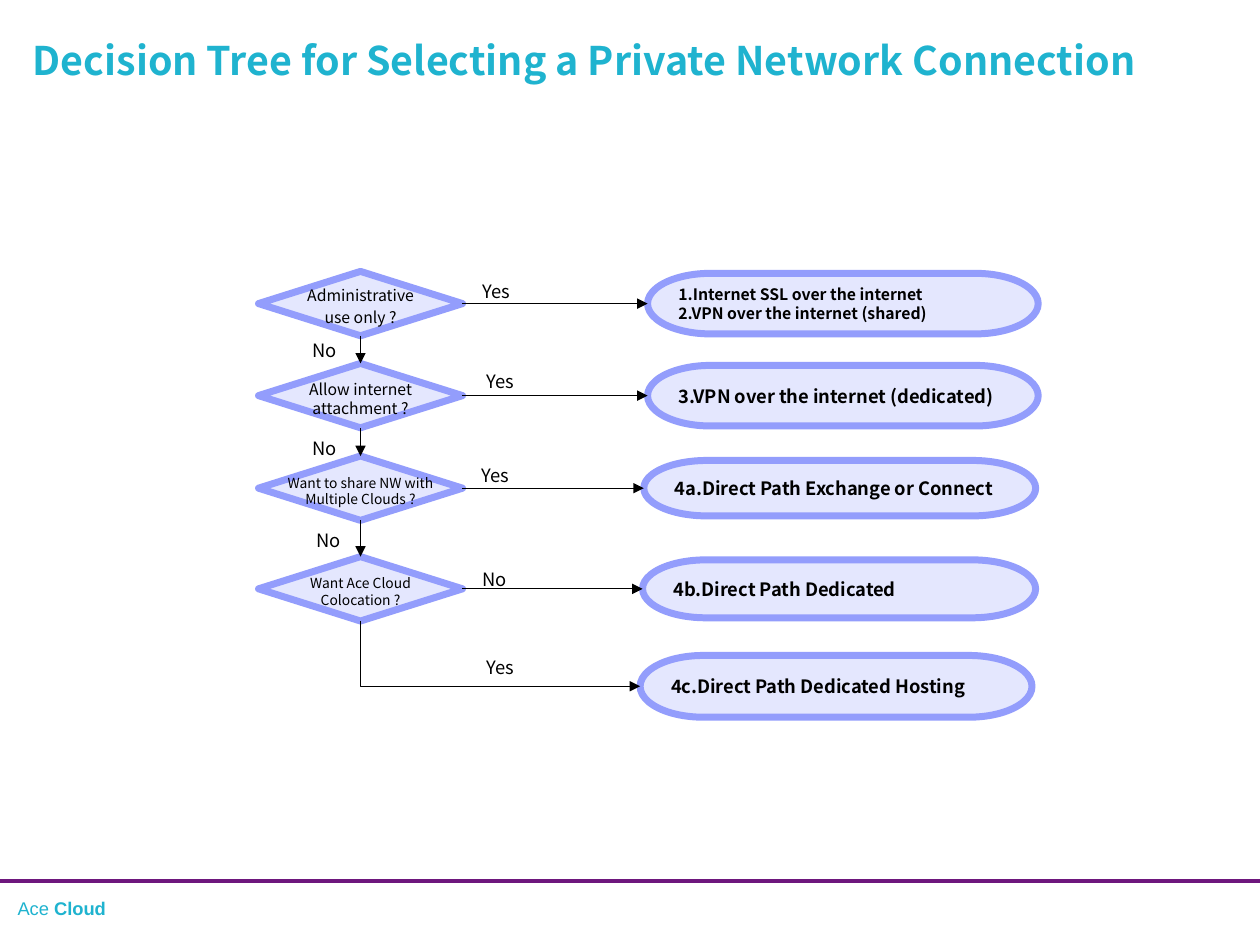
from dataclasses import dataclass

from lxml import etree
from pptx import Presentation
from pptx.dml.color import RGBColor
from pptx.enum.shapes import MSO_CONNECTOR, MSO_SHAPE
from pptx.enum.text import MSO_ANCHOR, PP_ALIGN
from pptx.oxml.ns import qn
from pptx.util import Pt

DIAMOND = MSO_SHAPE.DIAMOND
TERMINATOR = MSO_SHAPE.FLOWCHART_TERMINATOR
STRAIGHT, ELBOW = MSO_CONNECTOR.STRAIGHT, MSO_CONNECTOR.ELBOW
TOP, MIDDLE = MSO_ANCHOR.TOP, MSO_ANCHOR.MIDDLE
LEFT, CENTER = PP_ALIGN.LEFT, PP_ALIGN.CENTER
TOP_SIDE, LEFT_SIDE, BOTTOM_SIDE, RIGHT_SIDE = range(4)


@dataclass(frozen=True)
class Theme:
    font: str = "Noto Sans CJK JP"
    footer_font: str = "Arial"
    accent: RGBColor = RGBColor(0x1F, 0xB3, 0xCF)
    rule: RGBColor = RGBColor(0x6E, 0x17, 0x7D)
    fill: RGBColor = RGBColor(0xE4, 0xE7, 0xFE)
    border: RGBColor = RGBColor(0x93, 0x9D, 0xFC)
    ink: RGBColor = RGBColor(0, 0, 0)
    title_size: float = 22.5
    body_size: float = 10.5
    small_size: float = 9
    tiny_size: float = 7.9


THEME = Theme()
DIAMOND_CENTER, DIAMOND_WIDTH, DIAMOND_HEIGHT = 206, 116.6, 36.8

# center y, question lines, text width, text size
DECISIONS = [
    (173.5, ["Administrative", "use only ?"], 84, THEME.small_size),
    (226.1, ["Allow internet attachment ?"], 104, THEME.small_size),
    (279, ["Want to share NW with Multiple Clouds ?"], 88, THEME.tiny_size),
    (336.5, ["Want Ace Cloud Colocation ?"], 63, THEME.tiny_size),
]

# center y, left, width, height, lines, text size
OUTCOMES = [
    (173.5, 370.1, 223.2, 34.6,
     ["1.Internet SSL over the internet", "2.VPN over the internet (shared)"],
     THEME.small_size),
    (226.1, 370.1, 223.2, 34.6, ["3.VPN over the internet (dedicated)"], THEME.body_size),
    (279, 367.9, 223.9, 31.7, ["4a.Direct Path Exchange or Connect"], THEME.body_size),
    (336.5, 367.2, 224.6, 33.1, ["4b.Direct Path Dedicated"], THEME.body_size),
    (392.2, 365.8, 223.9, 35.3, ["4c.Direct Path Dedicated Hosting"], THEME.body_size),
]

# text, left, top
BRANCH_LABELS = [
    ("Yes", 270.7, 158.4), ("Yes", 272.9, 210.2), ("Yes", 270, 263.5),
    ("No", 270.7, 323.3), ("Yes", 272.9, 373.7),
    ("No", 173.5, 192.2), ("No", 173.5, 248.4), ("No", 175.7, 301),
]


def format_frame(frame, margins, anchor=TOP, wrap=True):
    """Set wrapping, anchor and the (horizontal, vertical) margins."""
    frame.word_wrap = wrap
    frame.vertical_anchor = anchor
    frame.margin_left = frame.margin_right = Pt(margins[0])
    frame.margin_top = frame.margin_bottom = Pt(margins[1])


def style_font(font, size, color=THEME.ink, bold=False, name=THEME.font):
    font.name, font.size, font.bold = name, Pt(size), bold
    font.color.rgb = color


def write_lines(frame, lines, size, align=LEFT, bold=False, space_after=0):
    for index, line in enumerate(lines):
        para = frame.paragraphs[0] if index == 0 else frame.add_paragraph()
        para.text = line
        para.alignment = align
        para.space_after = Pt(space_after)
        style_font(para.font, size, bold=bold)


def add_text_box(page, left, top, width, height, margins, anchor=TOP):
    box = page.shapes.add_textbox(Pt(left), Pt(top), Pt(width), Pt(height))
    format_frame(box.text_frame, margins, anchor)
    return box.text_frame


def add_node(page, kind, left, center_y, width, height):
    node = page.shapes.add_shape(
        kind, Pt(left), Pt(center_y - height / 2), Pt(width), Pt(height))
    node.shadow.inherit = False
    node.fill.solid()
    node.fill.fore_color.rgb = THEME.fill
    node.line.color.rgb = THEME.border
    node.line.width = Pt(4)
    return node


def add_decision(page, center_y, lines, text_width, size):
    diamond = add_node(page, DIAMOND, DIAMOND_CENTER - DIAMOND_WIDTH / 2, center_y,
                       DIAMOND_WIDTH, DIAMOND_HEIGHT)
    text_height = 24
    frame = add_text_box(page, DIAMOND_CENTER - text_width / 2,
                         center_y + 1.5 - text_height / 2,
                         text_width, text_height, (0, 0), MIDDLE)
    write_lines(frame, lines, size, CENTER, space_after=1.3)
    return diamond


def add_outcome(page, center_y, left, width, height, lines, size):
    outcome = add_node(page, TERMINATOR, left, center_y, width, height)
    format_frame(outcome.text_frame, (7.2, 3.6), MIDDLE, wrap=False)
    write_lines(outcome.text_frame, lines, size, bold=True)
    return outcome


def add_line(page, kind, color, width, ends=(0, 0, 0, 0)):
    line = page.shapes.add_connector(kind, *map(Pt, ends))
    line.line.color.rgb = color
    line.line.width = Pt(width)
    etree.SubElement(line._element.spPr, qn("a:effectLst"))
    return line


def add_arrow(page, start, start_side, end, end_side):
    arrow = add_line(page, STRAIGHT, THEME.ink, 0.75)
    arrow.begin_connect(start, start_side)
    arrow.end_connect(end, end_side)
    etree.SubElement(arrow.line._get_or_add_ln(), qn("a:tailEnd"), type="triangle")


def add_corner_arrow(page, source, target):
    """Run down from the source and right to the target, drawn from its head."""
    ends = (target.left.pt, (target.top + target.height / 2) / Pt(1),
            (source.left + source.width / 2) / Pt(1), (source.top + source.height) / Pt(1))
    arrow = add_line(page, ELBOW, THEME.ink, 0.75, ends)
    arrow._element.spPr.find(qn("a:prstGeom")).set("prst", "bentConnector2")
    etree.SubElement(arrow.line._get_or_add_ln(), qn("a:headEnd"), type="triangle")


def add_title(page, text):
    title = page.shapes.title
    title.left, title.top, title.width, title.height = Pt(15.1), Pt(20.2), Pt(697.7), Pt(38.9)
    format_frame(title.text_frame, (3.6, 3.6))
    para = title.text_frame.paragraphs[0]
    para.text = text
    para.alignment = LEFT
    para.line_spacing = 0.9
    style_font(para.font, THEME.title_size, THEME.accent, bold=True)


def add_footer(page):
    add_line(page, STRAIGHT, THEME.rule, 2, (0, 503.3, 720, 503.3))
    para = add_text_box(page, 7.2, 511.2, 84.2, 16.6, (2.9, 2.9)).paragraphs[0]
    para.line_spacing = 0.9
    for text, bold in (("Ace ", False), ("Cloud", True)):
        span = para.add_run()
        span.text = text
        style_font(span.font, THEME.body_size, THEME.accent, bold, THEME.footer_font)


def add_branch_label(page, text, left, top):
    frame = add_text_box(page, left, top, 34, 17.3, (5, 2.9))
    write_lines(frame, [text], THEME.body_size)
    frame.paragraphs[0].line_spacing = 0.9


def main():
    deck = Presentation()
    deck.slide_width, deck.slide_height = Pt(720), Pt(540)
    page = deck.slides.add_slide(deck.slide_layouts[5])
    add_title(page, "Decision Tree for Selecting a Private Network Connection")
    add_footer(page)

    decisions = [add_decision(page, *decision) for decision in DECISIONS]
    outcomes = [add_outcome(page, *outcome) for outcome in OUTCOMES]
    for decision, outcome in zip(decisions, outcomes):
        add_arrow(page, decision, RIGHT_SIDE, outcome, LEFT_SIDE)
    for upper, lower in zip(decisions, decisions[1:]):
        add_arrow(page, upper, BOTTOM_SIDE, lower, TOP_SIDE)
    add_corner_arrow(page, decisions[-1], outcomes[-1])
    for label in BRANCH_LABELS:
        add_branch_label(page, *label)

    deck.save("out.pptx")


if __name__ == "__main__":
    main()
